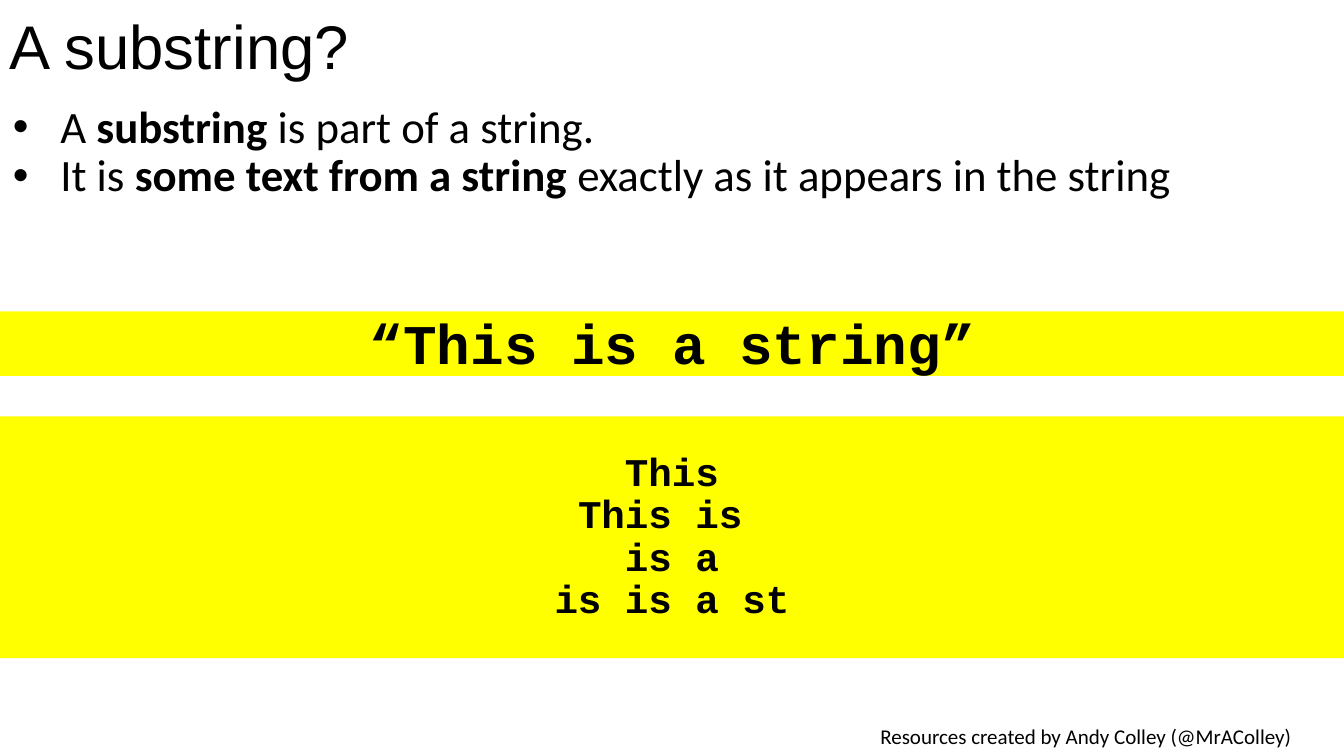
from dataclasses import dataclass

from lxml import etree
from pptx import Presentation
from pptx.dml.color import RGBColor
from pptx.enum import shapes, text
from pptx.oxml.ns import qn
from pptx.util import Inches, Pt


@dataclass(frozen=True)
class Theme:
    ink: RGBColor = RGBColor(0, 0, 0)
    band: RGBColor = RGBColor(255, 255, 0)
    heading: tuple = ("Arial", 44)
    body: tuple = ("Calibri", 32)
    quote: tuple = ("Courier New", 40)
    code: tuple = ("Courier New", 28)
    credit: tuple = ("Calibri", 15)


THEME = Theme()
WIDTH, HEIGHT = 13.33, 7.5
LEFT, CENTER = text.PP_ALIGN.LEFT, text.PP_ALIGN.CENTER
TOP, MIDDLE = text.MSO_ANCHOR.TOP, text.MSO_ANCHOR.MIDDLE


def write(sp, lines, style, align=LEFT, anchor=TOP, spacing=0.9, inset=0.05):
    """Fill a shape with lines; each line is a list of (words, bold) runs."""
    tf = sp.text_frame
    tf.word_wrap = True
    tf.vertical_anchor = anchor
    tf.margin_left = tf.margin_right = Inches(0.1)
    tf.margin_top = tf.margin_bottom = Inches(inset)
    for i, line in enumerate(lines):
        p = tf.paragraphs[0] if i == 0 else tf.add_paragraph()
        p.alignment, p.line_spacing = align, spacing
        for words, bold in line:
            r = p.add_run()
            r.text = words
            r.font.name, r.font.size = style[0], Pt(style[1])
            r.font.bold = bold
            r.font.color.rgb = THEME.ink
    return tf.paragraphs


def add_text(slide, box, lines, style, **layout):
    sp = slide.shapes.add_textbox(*map(Inches, box))
    return write(sp, lines, style, **layout)


def add_bullets(slide, box, lines):
    paragraphs = add_text(slide, box, lines, THEME.body)
    paragraphs[0].space_before = Pt(10)
    for p in paragraphs:
        pPr = p._p.get_or_add_pPr()
        pPr.set("marL", str(Inches(0.5)))
        pPr.set("indent", str(Inches(-0.47)))
        etree.SubElement(pPr, qn("a:buFont")).set("typeface", "Arial")
        etree.SubElement(pPr, qn("a:buChar")).set("char", "•")


def add_band(slide, box, lines, style, anchor):
    sp = slide.shapes.add_shape(shapes.MSO_SHAPE.RECTANGLE, *map(Inches, box))
    sp.shadow.inherit = False
    sp.fill.solid()
    sp.fill.fore_color.rgb = THEME.band
    sp.line.fill.background()
    write(sp, [[(line, True)] for line in lines], style, CENTER, anchor)


def build_substring_slide(slide, width, height):
    # Credit in the bottom right corner
    add_text(slide, (width - 5.12, height - 0.4, 5.12, 0.4),
             [[("Resources created by Andy Colley (@MrAColley)", False)]],
             THEME.credit, align=CENTER, anchor=MIDDLE, spacing=1.0, inset=0.1)

    # Title and definition
    title_height = 0.99
    add_text(slide, (0, 0, width * 0.9, title_height),
             [[("A substring?", False)]], THEME.heading, anchor=MIDDLE)
    add_bullets(slide, (0, title_height, width, 2.59), [
        [("A ", False), ("substring ", True), ("is part of a string.", False)],
        [("It is ", False), ("some text from a string", True),
         (" exactly as it appears in the string", False)],
    ])

    # The string, then substrings taken from it
    add_band(slide, (0, 3.09, width, 0.64), ["“This is a string”"],
             THEME.quote, TOP)
    add_band(slide, (0, 4.13, width, 2.4),
             ["This", "This is ", "is a", "is is a st"], THEME.code, MIDDLE)


def main():
    prs = Presentation()
    prs.slide_width, prs.slide_height = Inches(WIDTH), Inches(HEIGHT)
    slide = prs.slides.add_slide(prs.slide_layouts[6])
    build_substring_slide(slide, WIDTH, HEIGHT)
    prs.save("out.pptx")


if __name__ == "__main__":
    main()
